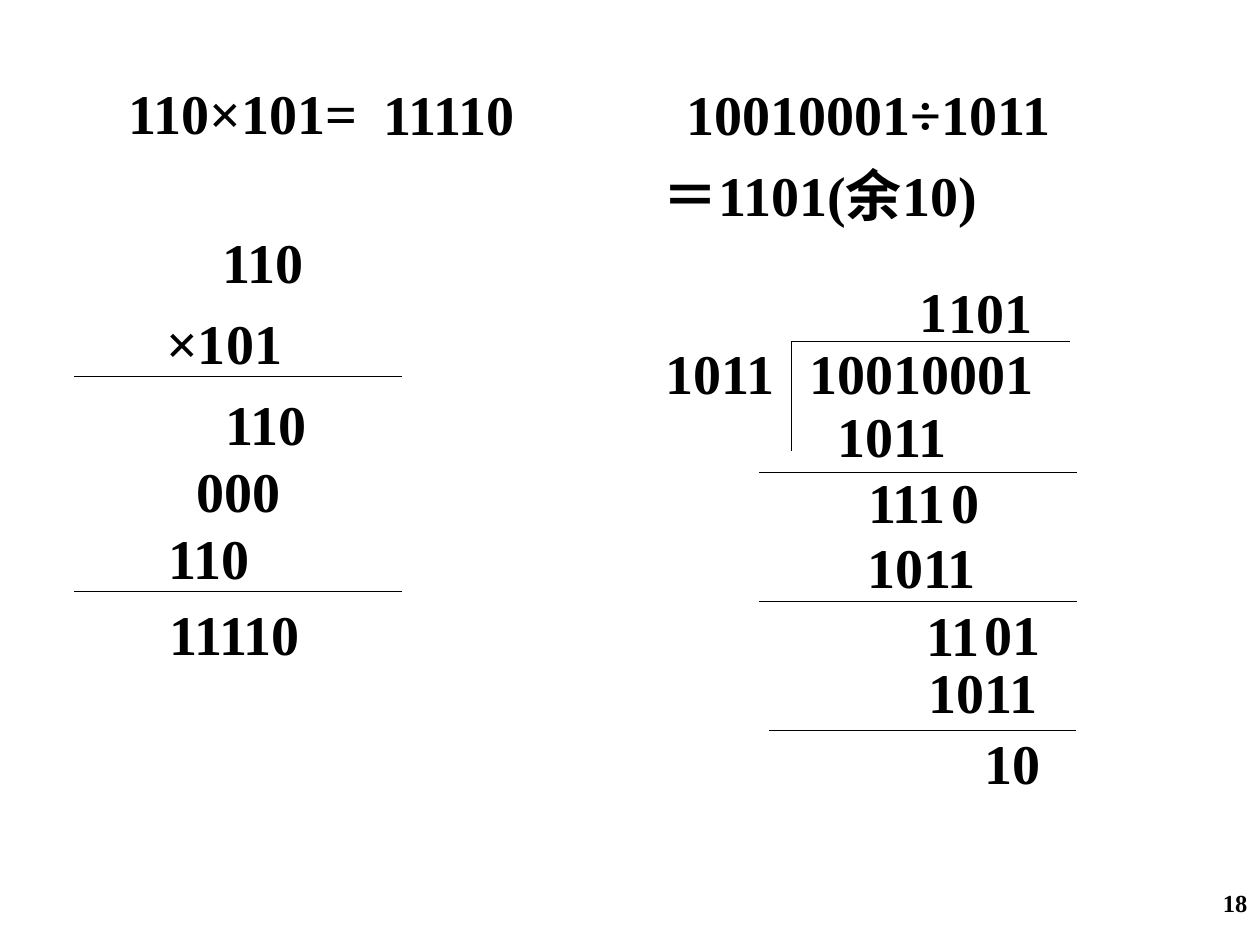
from dataclasses import dataclass

from lxml.etree import SubElement
from pptx import Presentation
from pptx.dml.color import RGBColor
from pptx.enum.shapes import MSO_CONNECTOR
from pptx.enum.text import MSO_ANCHOR, MSO_AUTO_SIZE, PP_ALIGN
from pptx.oxml.ns import qn
from pptx.shapes.autoshape import Shape
from pptx.slide import Slide
from pptx.util import Cm, Pt

COLORS = {"background": "FFFFFF", "ink": "000000"}
FONT = {"name": "Times New Roman", "size": Pt(32), "bold": True}
FRAME = {
    "word_wrap": False,
    "auto_size": MSO_AUTO_SIZE.SHAPE_TO_FIT_TEXT,
    "vertical_anchor": MSO_ANCHOR.TOP,
    "margin_left": Cm(0.25),
    "margin_right": Cm(0.25),
    "margin_top": Cm(0.13),
    "margin_bottom": Cm(0.13),
}
DIGIT_WIDTH = 0.57
LINE_HEIGHT = 1.63


@dataclass(frozen=True)
class Line:
    text: str
    indent_digits: int = 0
    space_before: float = 0


@dataclass(frozen=True)
class Entry:
    left: float
    top: float
    lines: tuple[Line, ...]
    width: float = 0
    height: float = LINE_HEIGHT
    size: float = 32
    alignment: PP_ALIGN = PP_ALIGN.LEFT


@dataclass(frozen=True)
class Rule:
    left: float
    top: float
    right: float
    bottom: float


def number(left: float, top: float, text: str) -> Entry:
    return Entry(left, top, (Line(text),), 0.51 + DIGIT_WIDTH * len(text))


TITLE = Entry(2.34, 1.45, (Line("110×101="),), 5.18)

HEADINGS = [
    number(7.49, 1.47, "11110"),
    Entry(13.59, 1.47, (Line("10010001÷1011"),), 9.3),
    Entry(13.1, 3.11, (Line("＝1101(余10)"),), 7.72),
]

MULTIPLICATION = [
    Entry(3.1, 4.45, (Line("110", 2), Line("×101", 0, 8)), 3.33, 3.25),
    Entry(3.15, 7.72, (Line("110", 2), Line("000", 1), Line("110")), 4.55, 4.32),
    number(3.16, 11.96, "11110"),
]

QUOTIENT = [number(18.29, 5.44, "1")] + [
    number(18.88 + 0.56 * place, 5.46, digit) for place, digit in enumerate("101")
]

DIVISION = [
    number(13.16, 6.69, "1011"),
    number(16.06, 6.69, "10010001"),
    number(16.63, 7.96, "1011"),
    number(17.25, 9.3, "111"),
    number(18.93, 9.3, "0"),
    number(17.23, 10.61, "1011"),
    number(18.43, 11.98, "11"),
    number(19.6, 11.96, "0"),
    number(20.16, 11.96, "1"),
    number(18.46, 13.13, "1011"),
    number(19.6, 14.55, "10"),
]

PAGE_NUMBER = Entry(20.12, 17.78, (Line("18"),), 5.28, 1.27, 14, PP_ALIGN.RIGHT)

RULES = [
    Rule(1.5, 7.59, 8.1, 7.59),
    Rule(1.5, 11.92, 8.1, 11.92),
    Rule(15.95, 6.88, 21.56, 6.88),
    Rule(15.95, 6.88, 15.95, 9.09),
    Rule(15.3, 9.53, 21.72, 9.53),
    Rule(15.3, 12.12, 21.72, 12.12),
    Rule(15.5, 14.73, 21.69, 14.73),
]


def set_attributes(target: object, values: dict) -> None:
    for name, value in values.items():
        setattr(target, name, value)


def write_entry(shape: Shape, entry: Entry) -> None:
    set_attributes(shape, {
        "left": Cm(entry.left),
        "top": Cm(entry.top),
        "width": Cm(entry.width),
        "height": Cm(entry.height),
    })
    frame = shape.text_frame
    set_attributes(frame, FRAME | {"word_wrap": len(entry.lines) == 3})
    for index, line in enumerate(entry.lines):
        paragraph = frame.add_paragraph() if index else frame.paragraphs[0]
        if line.indent_digits:
            indent = Cm(DIGIT_WIDTH * line.indent_digits)
            paragraph._p.get_or_add_pPr().set("marL", str(indent))
        set_attributes(paragraph, {
            "alignment": entry.alignment,
            "space_before": Pt(line.space_before),
        })
        run = paragraph.add_run()
        run.text = line.text
        set_attributes(run.font, FONT | {"size": Pt(entry.size)})
        run.font.color.rgb = RGBColor.from_string(COLORS["ink"])


def draw_entry(slide: Slide, entry: Entry) -> None:
    write_entry(slide.shapes.add_textbox(0, 0, 0, 0), entry)


def draw_rule(slide: Slide, rule: Rule) -> None:
    connector = slide.shapes.add_connector(
        MSO_CONNECTOR.STRAIGHT,
        Cm(rule.left), Cm(rule.top), Cm(rule.right), Cm(rule.bottom),
    )
    connector.line.width = Pt(0.75)
    connector.line.color.rgb = RGBColor.from_string(COLORS["ink"])
    SubElement(connector._element.spPr, qn("a:effectLst"))


def main() -> None:
    presentation = Presentation()
    presentation.slide_width = Cm(25.4)
    presentation.slide_height = Cm(19.05)
    slide = presentation.slides.add_slide(presentation.slide_layouts[5])
    slide.background.fill.solid()
    slide.background.fill.fore_color.rgb = RGBColor.from_string(COLORS["background"])

    write_entry(slide.shapes.title, TITLE)
    for rule in RULES:
        draw_rule(slide, rule)
    for entry in [*HEADINGS, *MULTIPLICATION, *QUOTIENT, *DIVISION, PAGE_NUMBER]:
        draw_entry(slide, entry)
    presentation.save("out.pptx")


if __name__ == "__main__":
    main()
